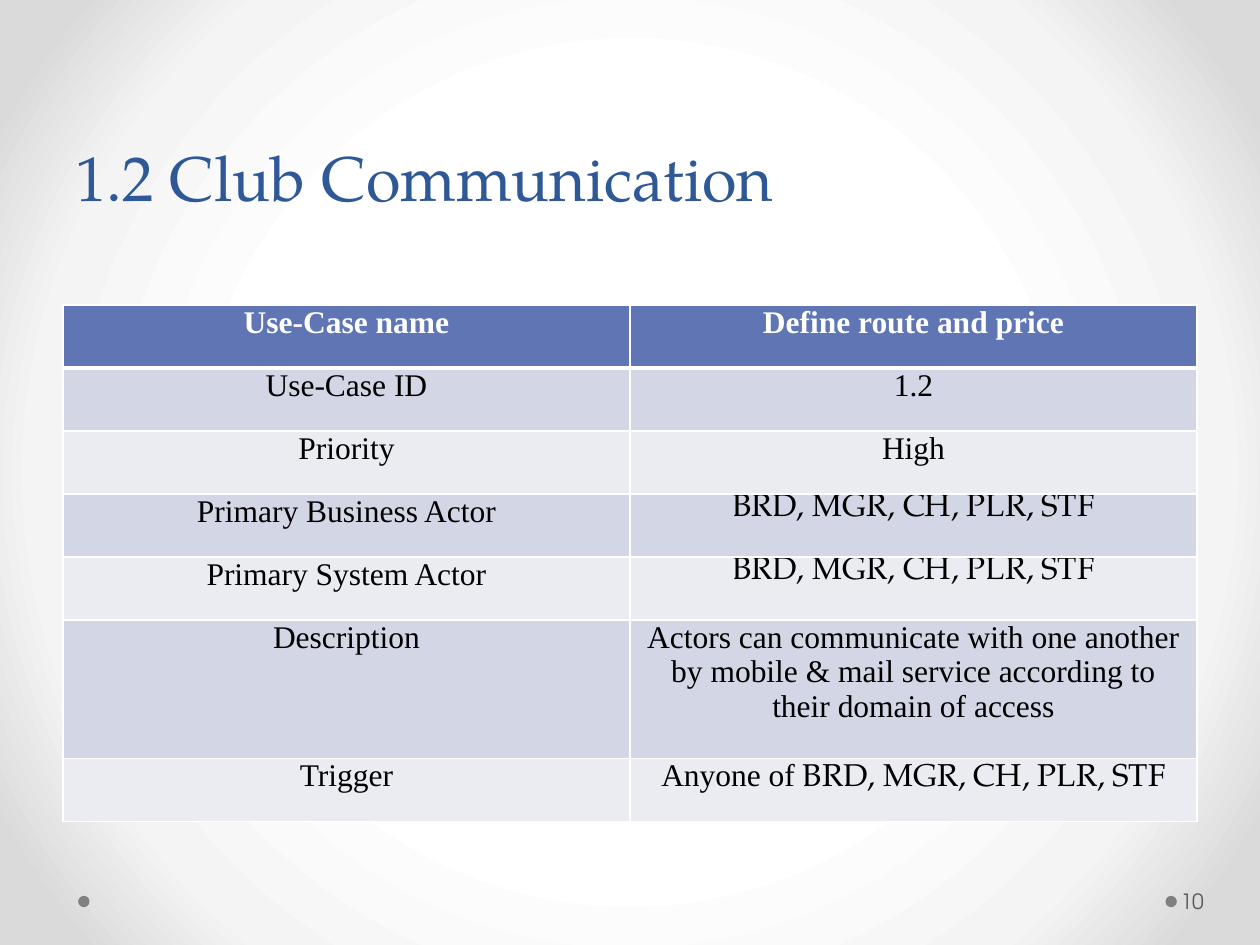
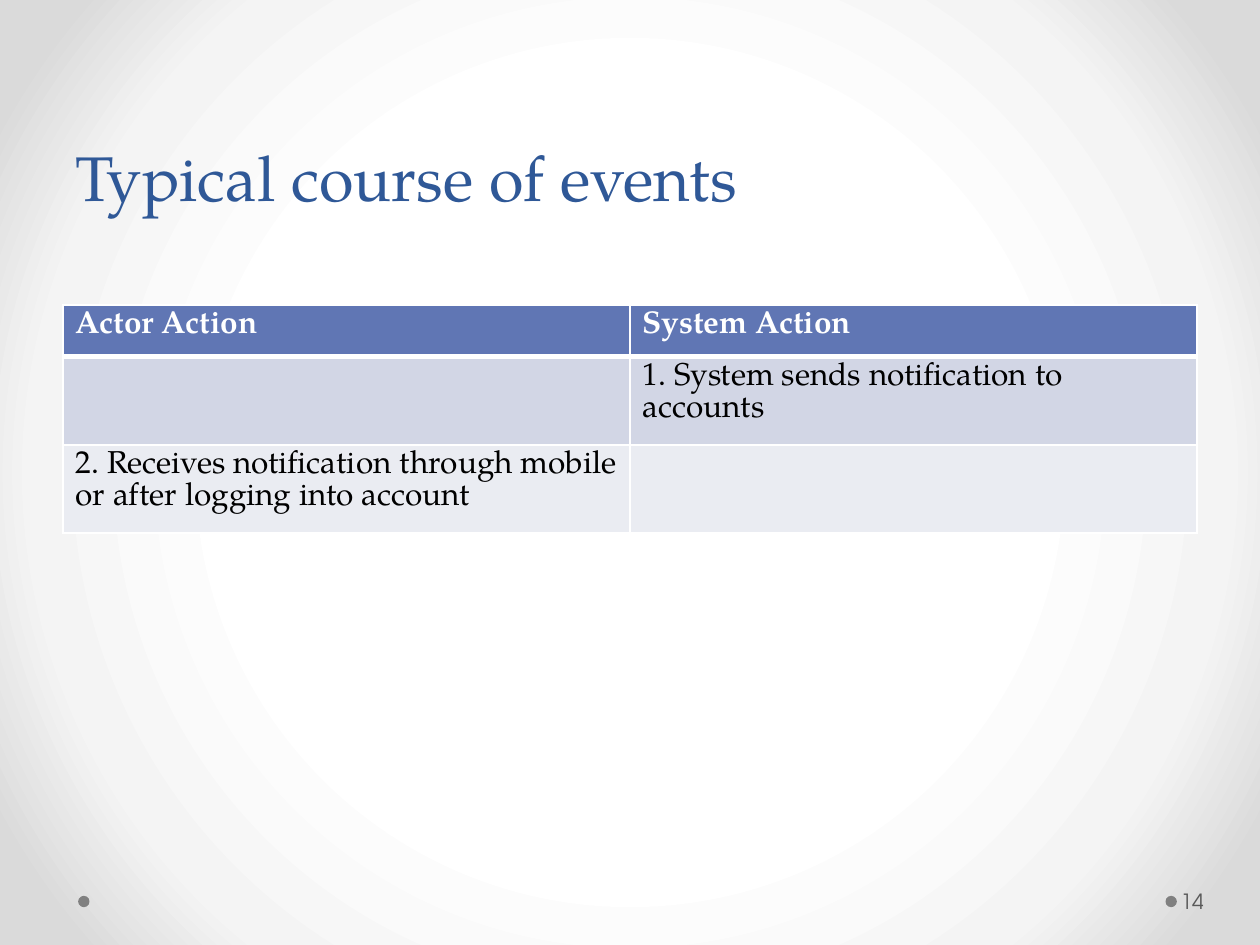
"""Build two use-case slides: a description table and a course-of-events table."""
from dataclasses import dataclass

from lxml import etree
from pptx import Presentation
from pptx.dml.color import RGBColor
from pptx.enum.shapes import MSO_SHAPE
from pptx.enum.text import MSO_ANCHOR, PP_ALIGN
from pptx.oxml import parse_xml
from pptx.oxml.ns import nsdecls, qn
from pptx.slide import Slide, SlideMaster
from pptx.table import _Cell
from pptx.text.text import _Paragraph
from pptx.util import Inches, Pt

OVAL = MSO_SHAPE.OVAL
MIDDLE, BOTTOM = MSO_ANCHOR.MIDDLE, MSO_ANCHOR.BOTTOM
LEFT, CENTER = PP_ALIGN.LEFT, PP_ALIGN.CENTER

WHITE = RGBColor(0xFF, 0xFF, 0xFF)
BLACK = RGBColor(0x00, 0x00, 0x00)
TITLE_BLUE = RGBColor(0x2F, 0x58, 0x97)
HEADER_BLUE = RGBColor(0x60, 0x76, 0xB4)
BAND_DARK = RGBColor(0xD2, 0xD6, 0xE5)
BAND_LIGHT = RGBColor(0xEA, 0xEC, 0xF2)
DOT_GREY = RGBColor(0x80, 0x80, 0x80)
NUMBER_GREY = RGBColor(0x59, 0x59, 0x59)
PALE_GREY = RGBColor(0xF4, 0xF4, 0xF4)
EDGE_GREY = RGBColor(0xDA, 0xDA, 0xDA)
BACKGROUND_STOPS = ((50, WHITE), (76, PALE_GREY), (92, EDGE_GREY))

PAGELLA = "TeX Gyre Pagella"
ADVENTOR = "TeX Gyre Adventor"
TIMES = "Times New Roman"

DOT_LEFTS = (0.62, 9.25)
DOT_SIZE = 0.09
COLUMN_WIDTH = 4.5


@dataclass(frozen=True)
class TextRun:
    """A piece of table text in one font."""

    text: str
    font: str = TIMES


@dataclass(frozen=True)
class TableSlide:
    """The title, number and table of one slide."""

    title: str
    number: int
    rows: list[list[list[TextRun]]]
    row_heights: list[float]
    alignment: PP_ALIGN
    side_margin: float
    end_margin: float


ACTORS = TextRun("BRD, MGR, CH, PLR, STF", PAGELLA)

USE_CASE = TableSlide(
    title="1.2 Club Communication",
    number=10,
    rows=[
        [[TextRun("Use-Case name")], [TextRun("Define route and price")]],
        [[TextRun("Use-Case ID")], [TextRun("1.2")]],
        [[TextRun("Priority")], [TextRun("High")]],
        [[TextRun("Primary Business Actor")], [ACTORS]],
        [[TextRun("Primary System Actor")], [ACTORS]],
        [
            [TextRun("Description")],
            [TextRun("Actors can communicate with one another by mobile & mail "
                     "service according to their domain of access")],
        ],
        [[TextRun("Trigger")], [TextRun("Anyone of "), ACTORS]],
    ],
    row_heights=[0.5] * 5 + [1.1, 0.5],
    alignment=CENTER,
    side_margin=0.07,
    end_margin=0,
)

EVENTS = TableSlide(
    title="Typical course of events",
    number=14,
    rows=[
        [[TextRun("Actor Action", PAGELLA)], [TextRun("System Action", PAGELLA)]],
        [[], [TextRun("1. System sends notification to accounts", PAGELLA)]],
        [[TextRun("2. Receives notification through mobile or after logging "
                  "into account", PAGELLA)], []],
    ],
    row_heights=[0.41] * 3,
    alignment=LEFT,
    side_margin=0.1,
    end_margin=0.05,
)


def set_background(master: SlideMaster) -> None:
    """Give the master a radial gradient from white to grey."""
    master.background.fill.solid()
    properties = master.element.find(".//" + qn("p:bgPr"))
    stops = "".join(
        f'<a:gs pos="{position * 1000}"><a:srgbClr val="{color}"/></a:gs>'
        for position, color in BACKGROUND_STOPS
    )
    gradient = parse_xml(
        f'<a:gradFill {nsdecls("a")} rotWithShape="1"><a:gsLst>{stops}</a:gsLst>'
        '<a:path path="circle"><a:fillToRect l="50000" t="50000" r="50000" '
        'b="50000"/></a:path></a:gradFill>'
    )
    properties.replace(properties[0], gradient)


def add_run(paragraph: _Paragraph, text: str, font: str, size: float,
            color: RGBColor, bold: bool = False) -> None:
    """Append one formatted run to a paragraph."""
    run = paragraph.add_run()
    run.text = text
    run.font.name = font
    run.font.size = Pt(size)
    run.font.color.rgb = color
    run.font.bold = bold


def add_dot(slide: Slide, left: float) -> None:
    """Draw one footer dot."""
    dot = slide.shapes.add_shape(
        OVAL, Inches(left), Inches(7.11), Inches(DOT_SIZE), Inches(DOT_SIZE))
    dot.shadow.inherit = False
    dot.fill.solid()
    dot.fill.fore_color.rgb = DOT_GREY
    dot.line.fill.background()


def add_title(slide: Slide, title: str) -> None:
    """Add the slide title, resting on the bottom of its box."""
    box = slide.shapes.add_textbox(Inches(0.5), Inches(0), Inches(9), Inches(1.75))
    frame = box.text_frame
    frame.word_wrap = True
    frame.vertical_anchor = BOTTOM
    paragraph = frame.paragraphs[0]
    paragraph.line_spacing = Pt(58)
    add_run(paragraph, title, PAGELLA, 36, TITLE_BLUE)


def add_number(slide: Slide, number: int) -> None:
    """Add the slide number beside the right dot."""
    box = slide.shapes.add_textbox(Inches(9.34), Inches(6.95), Inches(0.61), Inches(0.4))
    frame = box.text_frame
    frame.word_wrap = True
    frame.vertical_anchor = MIDDLE
    frame.margin_left = Inches(0.03)
    frame.margin_right = Inches(0.05)
    add_run(frame.paragraphs[0], str(number), ADVENTOR, 12, NUMBER_GREY)


def set_borders(cell: _Cell, row_index: int) -> None:
    """Rule a cell in white, with a thick line under the header."""
    widths = {
        "a:lnL": 1,
        "a:lnR": 1,
        "a:lnT": 3 if row_index == 1 else 1,
        "a:lnB": 3 if row_index == 0 else 1,
    }
    properties = cell._tc.get_or_add_tcPr()
    for tag, width in widths.items():
        line = etree.SubElement(properties, qn(tag), w=str(Pt(width)))
        fill = etree.SubElement(line, qn("a:solidFill"))
        etree.SubElement(fill, qn("a:srgbClr"), val=str(WHITE))


def fill_cell(cell: _Cell, runs: list[TextRun], row_index: int,
              content: TableSlide) -> None:
    """Format one table cell and write its text."""
    is_header = row_index == 0
    set_borders(cell, row_index)
    cell.fill.solid()
    band = BAND_DARK if row_index % 2 else BAND_LIGHT
    cell.fill.fore_color.rgb = HEADER_BLUE if is_header else band
    cell.margin_left = cell.margin_right = Inches(content.side_margin)
    cell.margin_top = cell.margin_bottom = Inches(content.end_margin)
    paragraph = cell.text_frame.paragraphs[0]
    paragraph.alignment = content.alignment
    for run in runs:
        add_run(paragraph, run.text, run.font, 18,
                WHITE if is_header else BLACK, is_header)


def add_grid(slide: Slide, content: TableSlide) -> None:
    """Add the two-column table."""
    table = slide.shapes.add_table(
        len(content.rows), 2, Inches(0.5), Inches(2.42),
        Inches(2 * COLUMN_WIDTH), Inches(sum(content.row_heights))).table
    for column in table.columns:
        column.width = Inches(COLUMN_WIDTH)
    for row_index, row in enumerate(content.rows):
        table.rows[row_index].height = Inches(content.row_heights[row_index])
        for column_index, runs in enumerate(row):
            fill_cell(table.cell(row_index, column_index), runs, row_index, content)


def main() -> None:
    """Build and save the presentation."""
    presentation = Presentation()
    presentation.slide_width = Inches(10)
    presentation.slide_height = Inches(7.5)
    set_background(presentation.slide_master)
    for content in (USE_CASE, EVENTS):
        slide = presentation.slides.add_slide(presentation.slide_layouts[6])
        for left in DOT_LEFTS:
            add_dot(slide, left)
        add_title(slide, content.title)
        add_grid(slide, content)
        add_number(slide, content.number)
    presentation.save("out.pptx")


if __name__ == "__main__":
    main()
